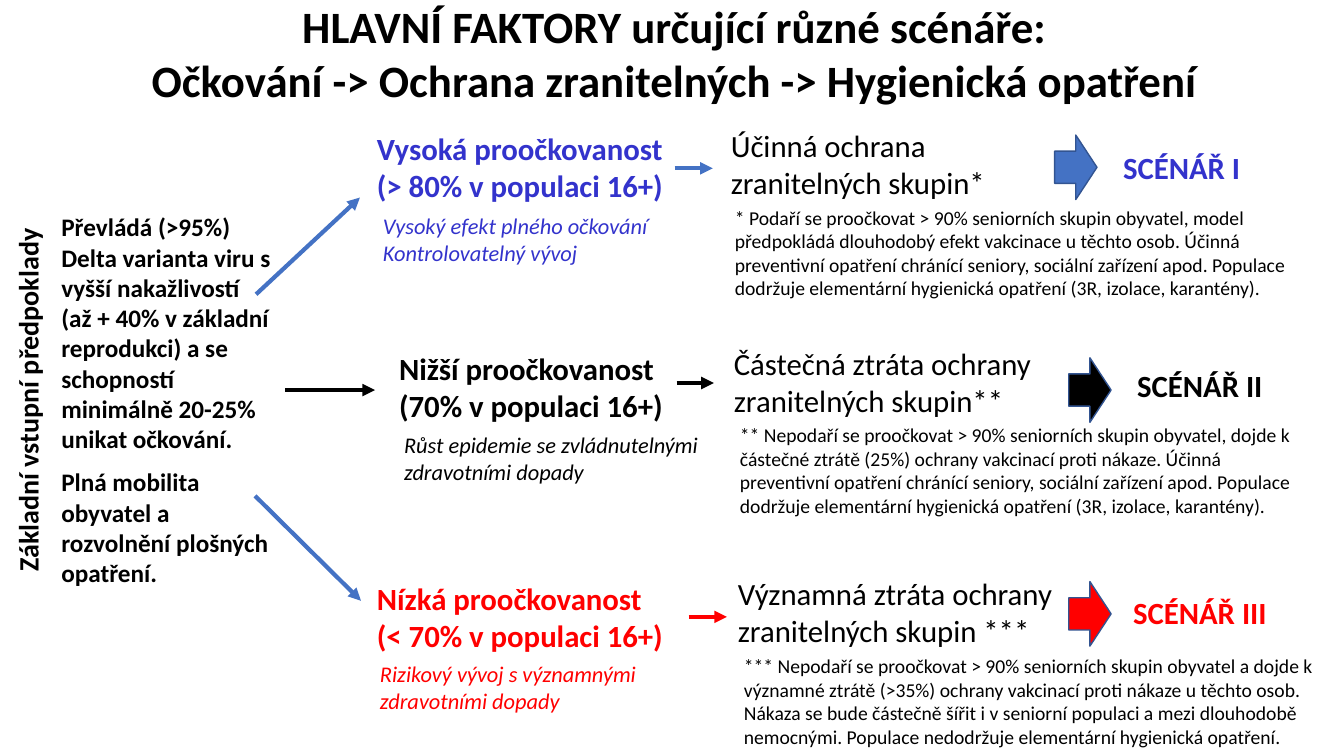
from lxml import etree
from pptx import Presentation
from pptx.dml.color import RGBColor
from pptx.enum import shapes, text
from pptx.oxml import ns
from pptx.util import Inches, Pt

COLORS = {"black": "000000", "white": "FFFFFF", "indigo": "3333CC",
          "blue": "4472C4", "red": "FF0000", "outline": "325491"}

TITLE = ["HLAVNÍ FAKTORY určující různé scénáře:",
         "Očkování -> Ochrana zranitelných -> Hygienická opatření"]
AXIS_LABEL = ["Základní vstupní předpoklady"]
ASSUMPTIONS = [
    (2.05, 2.52, ["Převládá (>95%) Delta varianta viru s vyšší nakažlivostí",
                  "(až + 40% v základní reprodukci) a se schopností "
                  "minimálně 20-25% unikat očkování."]),
    (4.58, 1.31, ["Plná mobilita obyvatel a rozvolnění plošných opatření."]),
]

# Each part: its text and its (left, top, width); arrows: (x1, y1, x2, y2)
SCENARIOS = [
    {"color": "indigo", "arrow_color": "blue", "branch_color": "blue",
     "branch": (2.54, 2.92, 3.57, 1.96), "link": (6.69, 1.67, 7.07, 1.67),
     "coverage": (["Vysoká proočkovanost (> 80% v populaci 16+)"], (3.64, 1.24, 3.07)),
     "effect": (["Vysoký efekt plného očkování", "Kontrolovatelný vývoj"], (3.7, 2.06, 2.95)),
     "protection": (["Účinná ochrana zranitelných skupin*"], (7.15, 1.21, 3.07)),
     "detail": (["* Podaří se proočkovat > 90% seniorních skupin obyvatel, model "
                 "předpokládá dlouhodobý efekt vakcinace u těchto osob. Účinná "
                 "preventivní opatření chránící seniory, sociální zařízení apod. Populace "
                 "dodržuje elementární hygienická opatření (3R, izolace, karantény)."],
                (7.19, 1.99, 6.07)),
     "block_arrow": (10.46, 1.34), "name": (["SCÉNÁŘ I"], (11.04, 1.43, 2.06))},
    {"color": "black", "arrow_color": "black", "branch_color": "black",
     "branch": (2.83, 3.87, 3.72, 3.87), "link": (6.71, 3.8, 7.08, 3.8),
     "coverage": (["Nižší proočkovanost (70% v populaci 16+)"], (3.86, 3.42, 2.84)),
     "effect": (["Růst epidemie se zvládnutelnými", "zdravotními dopady"], (3.91, 4.23, 3.23)),
     "protection": (["Částečná ztráta ochrany zranitelných skupin**"], (7.18, 3.37, 3.28)),
     "detail": (["** Nepodaří se proočkovat > 90% seniorních skupin obyvatel, dojde k "
                 "částečné ztrátě (25%) ochrany vakcinací proti nákaze. Účinná "
                 "preventivní opatření chránící seniory, sociální zařízení apod. Populace "
                 "dodržuje elementární hygienická opatření (3R, izolace, karantény)."],
                (7.24, 4.15, 5.78)),
     "block_arrow": (10.6, 3.55), "name": (["SCÉNÁŘ II"], (11.18, 3.59, 2.06))},
    {"color": "red", "arrow_color": "red", "branch_color": "blue",
     "branch": (2.53, 4.92, 3.58, 5.96), "link": (6.83, 6.12, 7.21, 6.12),
     "coverage": (["Nízká proočkovanost (< 70% v populaci 16+)"], (3.64, 5.7, 3.07)),
     "effect": (["Rizikový vývoj s významnými zdravotními dopady"], (3.67, 6.5, 2.99)),
     "protection": (["Významná ztráta ochrany zranitelných skupin ***"], (7.22, 5.65, 3.57)),
     "detail": (["*** Nepodaří se proočkovat > 90% seniorních skupin obyvatel a dojde k "
                 "významné ztrátě (>35%) ochrany vakcinací proti nákaze u těchto osob. "
                 "Nákaza se bude částečně šířit i v seniorní populaci a mezi dlouhodobě "
                 "nemocnými. Populace nedodržuje elementární hygienická opatření."],
                (7.28, 6.44, 5.87)),
     "block_arrow": (10.6, 5.77), "name": (["SCÉNÁŘ III"], (11.14, 5.84, 2.06))},
]


def rgb(name):
    return RGBColor.from_string(COLORS[name])


def write(shape, lines, size, color="black", bold=False, italic=False, align="LEFT"):
    frame = shape.text_frame
    frame.word_wrap = True
    frame.auto_size = text.MSO_AUTO_SIZE.NONE
    frame.vertical_anchor = text.MSO_ANCHOR.TOP
    frame.text = "\n".join(lines)
    for paragraph in frame.paragraphs:
        paragraph.alignment = getattr(text.PP_ALIGN, align)
        paragraph.line_spacing = 1.0
        paragraph.space_before = Pt(0)
        font = paragraph.font
        font.name, font.size = "Calibri", Pt(size)
        font.bold, font.italic = bold, italic
        font.color.rgb = rgb(color)


def add_text(slide, place, lines, size, **style):
    box = slide.shapes.add_textbox(*map(Inches, place))
    write(box, lines, size, **style)
    return box


def add_solid(slide, kind, place, fill, outline=None):
    solid = slide.shapes.add_shape(kind, *map(Inches, place))
    solid.shadow.inherit = False
    solid.fill.solid()
    solid.fill.fore_color.rgb = rgb(fill)
    if outline:
        solid.line.color.rgb = rgb(outline)
        solid.line.width = Pt(1)
    else:
        solid.line.fill.background()
    return solid


def add_arrow(slide, ends, color):
    arrow = slide.shapes.add_connector(shapes.MSO_CONNECTOR.STRAIGHT, *map(Inches, ends))
    arrow.line.color.rgb = rgb(color)
    arrow.line.width = Pt(3)
    etree.SubElement(arrow.line._get_or_add_ln(), ns.qn("a:tailEnd"), type="triangle")
    etree.SubElement(arrow._element.spPr, ns.qn("a:effectLst"))


def add_scenario(slide, row):
    color = row["color"]
    parts = [("coverage", 0.84, 22, {"color": color, "bold": True}),
             ("protection", 0.84, 22, {}),
             ("name", 0.47, 22, {"color": color, "bold": True}),
             ("detail", 1.04, 14, {})]
    for part, height, size, style in parts:
        lines, place = row[part]
        add_text(slide, (*place, height), lines, size, **style)

    lines, place = row["effect"]
    effect = add_solid(slide, shapes.MSO_SHAPE.RECTANGLE, (*place, 0.64), "white")
    write(effect, lines, 16, color=color, italic=True)

    add_arrow(slide, row["branch"], row["branch_color"])
    add_arrow(slide, row["link"], row["arrow_color"])
    add_solid(slide, shapes.MSO_SHAPE.RIGHT_ARROW, (*row["block_arrow"], 0.42, 0.64),
              row["arrow_color"], outline="outline")


def main():
    deck = Presentation()
    deck.slide_width, deck.slide_height = Inches(13.33), Inches(7.5)
    slide = deck.slides.add_slide(deck.slide_layouts.get_by_name("Title Only"))

    title = slide.shapes.title
    title.left, title.top = Inches(0.19), Inches(-0.06)
    title.width, title.height = Inches(13), Inches(1.18)
    write(title, TITLE, 32, bold=True, align="CENTER")

    axis = add_text(slide, (-1.6, 3.75, 3.75, 0.44), AXIS_LABEL, 20, bold=True, align="CENTER")
    axis.rotation = 270
    for top, height, lines in ASSUMPTIONS:
        add_text(slide, (0.51, top, 2.38, height), lines, 18, bold=True)
    for row in SCENARIOS:
        add_scenario(slide, row)

    deck.save("out.pptx")


if __name__ == "__main__":
    main()
